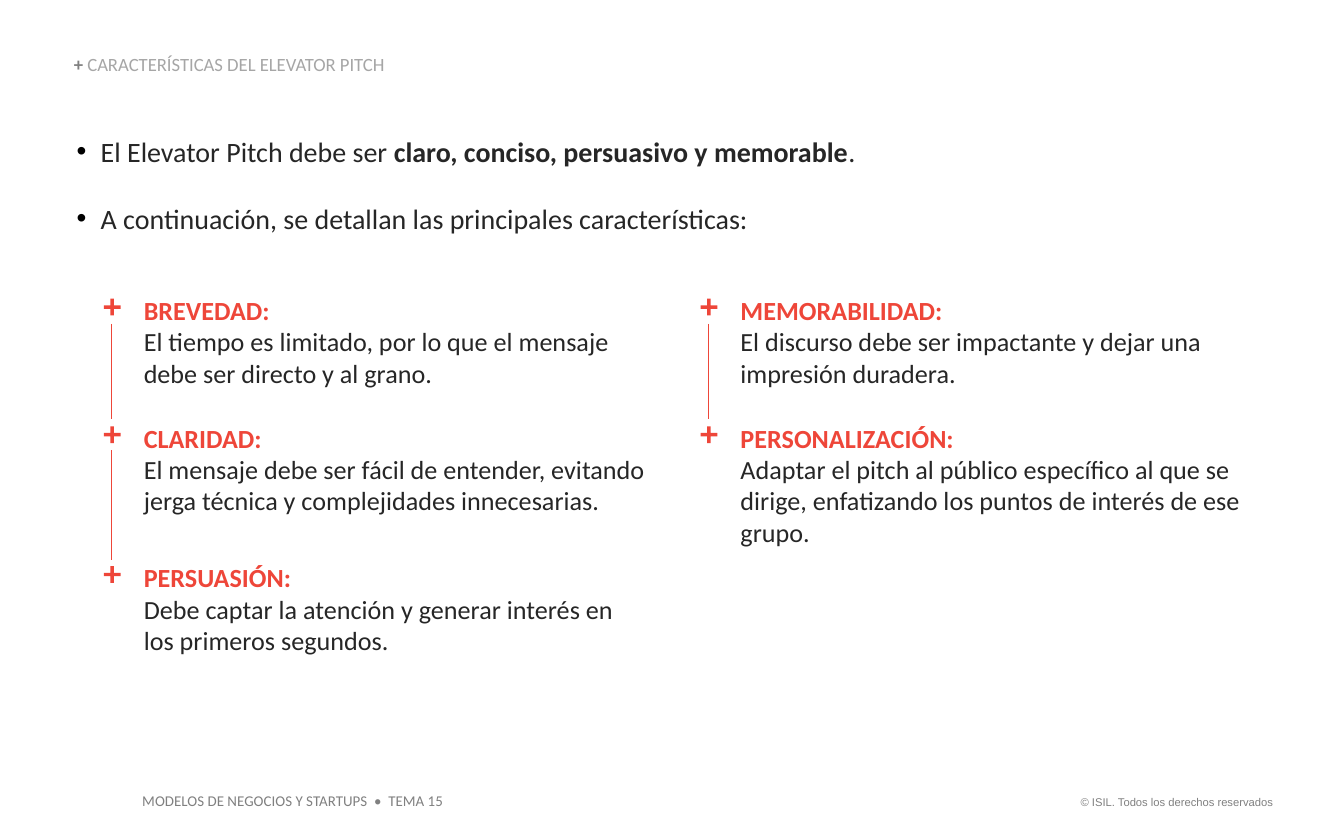
from lxml import etree
from pptx import Presentation
from pptx.dml.color import RGBColor
from pptx.enum import shapes, text
from pptx.oxml.ns import qn
from pptx.util import Inches, Pt

COLORS = {"red": "EE4639", "dark": "262626", "gray": "808080", "light": "A6A6A6", "bullet": "000000"}


def add_text(box, paragraphs, size, font="Calibri", wrap=True):
    tb = s.shapes.add_textbox(*[Inches(v) for v in box])
    tf = tb.text_frame
    tf.word_wrap = wrap
    tf.auto_size = text.MSO_AUTO_SIZE.SHAPE_TO_FIT_TEXT
    if wrap:
        tf.margin_left = tf.margin_right = tf.margin_top = tf.margin_bottom = 0
    for i, runs in enumerate(paragraphs):
        p = tf.add_paragraph() if i else tf.paragraphs[0]
        for words, color, bold in runs:
            r = p.add_run()
            r.text = words
            r.font.name = font
            r.font.size = Pt(size)
            r.font.bold = bold
            r.font.color.rgb = RGBColor.from_string(COLORS[color])
    return tf


prs = Presentation()
prs.slide_width, prs.slide_height = Inches(10), Inches(6.25)
s = prs.slides.add_slide(prs.slide_layouts[6])

tf = add_text((7.88, 5.87, 1.69, 0.2), [[("© ISIL. Todos los derechos reservados", "gray", False)]],
              6, "Arial", wrap=False)
tf.paragraphs[0].alignment = text.PP_ALIGN.RIGHT
add_text((0.96, 5.84, 2.45, 0.24), [[("MODELOS DE NEGOCIOS Y STARTUPS  •  TEMA 15", "gray", False)]],
         8, wrap=False)

tf = add_text((0.55, 0.41, 4.25, 0.15),
              [[("+ ", "gray", True), ("CARACTERÍSTICAS DEL ELEVATOR PITCH", "light", False)]], 10)
tf.vertical_anchor = text.MSO_ANCHOR.BOTTOM
tf.paragraphs[0].line_spacing = 0.9

intro = add_text((0.55, 1, 8.57, 0.76), [
    [("El Elevator Pitch debe ser ", "dark", False),
     ("claro, conciso, persuasivo y memorable", "dark", True),
     (".", "dark", False)],
    [("A continuación, se detallan las principales características:", "dark", False)],
], 15)
for p in intro.paragraphs:
    pPr = p._p.get_or_add_pPr()
    pPr.set("marL", str(Inches(0.2)))
    pPr.set("indent", str(Inches(-0.18)))
    clr = etree.SubElement(pPr, qn("a:buClr"))
    etree.SubElement(clr, qn("a:srgbClr")).set("val", COLORS["bullet"])
    etree.SubElement(pPr, qn("a:buFont")).set("typeface", "Arial")
    etree.SubElement(pPr, qn("a:buChar")).set("char", "•")
intro.paragraphs[1].space_before = Pt(18)

tops = [2.19, 3.14, 4.18]
line_spans = [(2.41, 3.12), (3.35, 4.17)]
columns = [
    (0.75, [
        ("BREVEDAD:", "El tiempo es limitado, por lo que el mensaje debe ser directo y al grano."),
        ("CLARIDAD:", "El mensaje debe ser fácil de entender, evitando jerga técnica y complejidades innecesarias."),
        ("PERSUASIÓN:", "Debe captar la atención y generar interés en los primeros segundos."),
    ]),
    (5.19, [
        ("MEMORABILIDAD:", "El discurso debe ser impactante y dejar una impresión duradera."),
        ("PERSONALIZACIÓN:", "Adaptar el pitch al público específico al que se dirige, "
                             "enfatizando los puntos de interés de ese grupo."),
    ]),
]
red = RGBColor.from_string(COLORS["red"])
for left, traits in columns:
    for top, (heading, detail) in zip(tops, traits):
        height = 0.94 if top == tops[1] else 0.71
        add_text((left + 0.32, top, 3.74, height),
                 [[(heading, "red", True)], [(detail, "dark", False)]], 14)
        plus = s.shapes.add_shape(shapes.MSO_SHAPE.MATH_PLUS, Inches(left), Inches(top + 0.01),
                                  Inches(0.17), Inches(0.17))
        plus.adjustments[0] = 0.152
        plus.shadow.inherit = False
        plus.fill.solid()
        plus.fill.fore_color.rgb = red
        plus.line.fill.background()
    for start, end in line_spans[:len(traits) - 1]:
        x = Inches(left + 0.08)
        line = s.shapes.add_connector(shapes.MSO_CONNECTOR.STRAIGHT, x, Inches(start), x, Inches(end))
        line.line.color.rgb = red
        line.line.width = Pt(0.75)
        etree.SubElement(line._element.spPr, qn("a:effectLst"))

prs.save("out.pptx")
